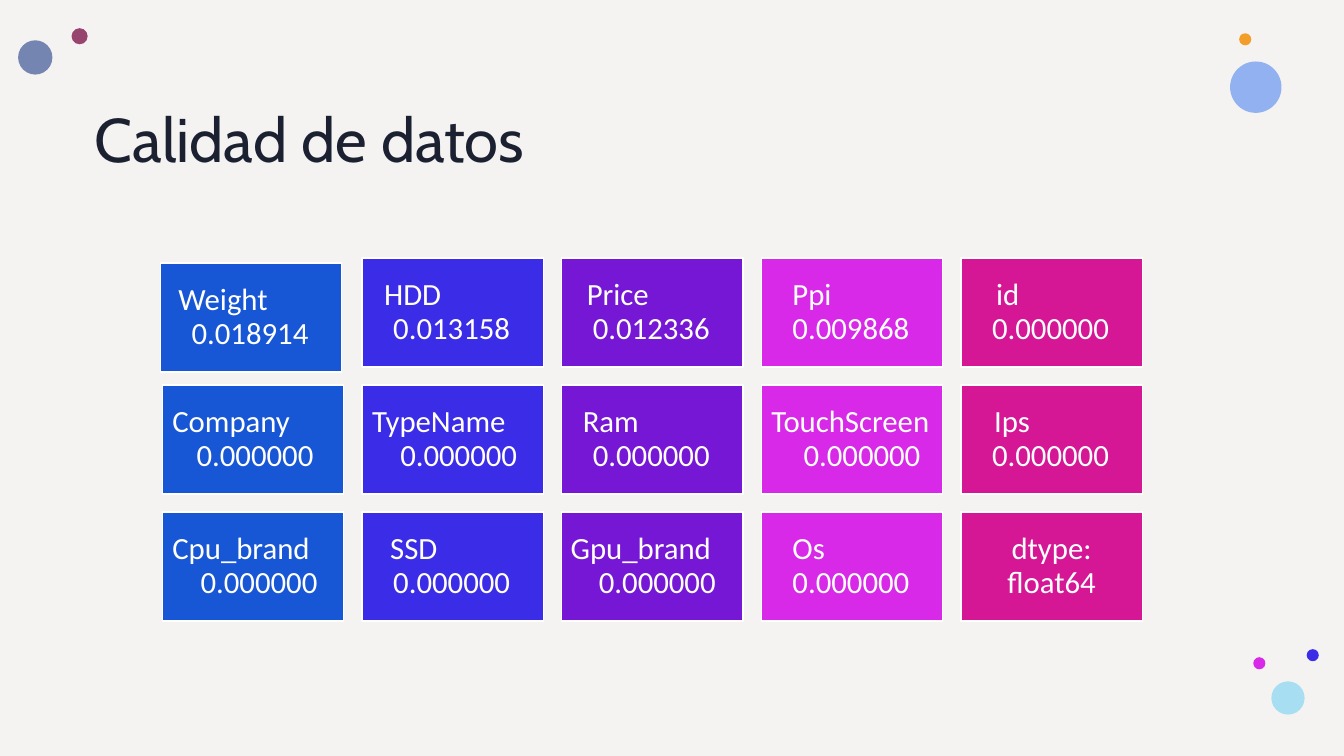
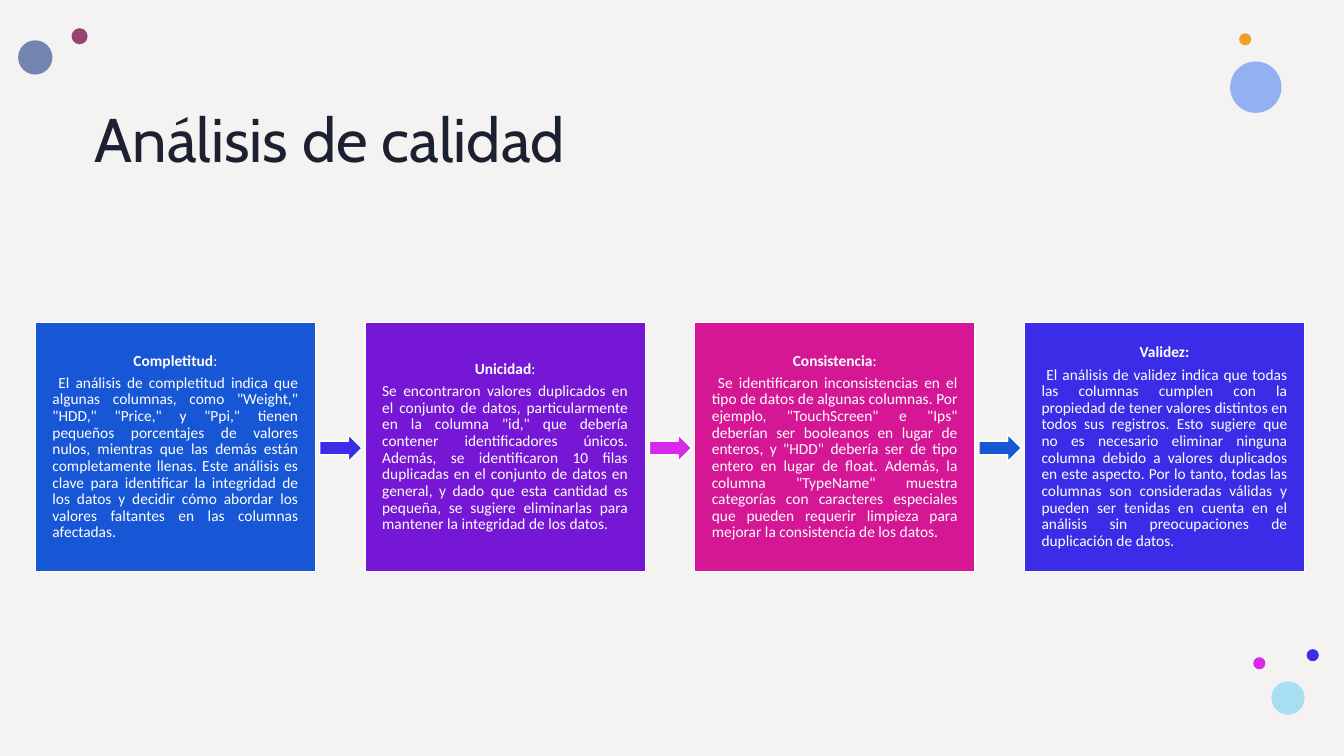
from pptx import Presentation
from pptx.dml.color import RGBColor
from pptx.enum.shapes import MSO_SHAPE
from pptx.enum.text import MSO_ANCHOR, PP_ALIGN
from pptx.util import Inches, Pt

RECT, OVAL, ARROW = MSO_SHAPE.RECTANGLE, MSO_SHAPE.OVAL, MSO_SHAPE.RIGHT_ARROW
TOP, MIDDLE = MSO_ANCHOR.TOP, MSO_ANCHOR.MIDDLE
LEFT, CENTER, JUSTIFY = PP_ALIGN.LEFT, PP_ALIGN.CENTER, PP_ALIGN.JUSTIFY

PAPER, INK, WHITE = "F5F3F2", "1B2130", "FFFFFF"
BLUE, INDIGO, PURPLE, MAGENTA, PINK = "1756D5", "3B2CE7", "7617D5", "D729E7", "D51796"
BUBBLES = [
    (0.71, 0.28, 0.16, "97446E"),
    (12.2, 0.61, 0.51, "92B1F0"),
    (12.29, 0.33, 0.12, "F39E29"),
    (0.18, 0.4, 0.34, "7485B1"),
    (12.96, 6.44, 0.12, INDIGO),
    (12.61, 6.76, 0.33, "A7DEF1"),
    (12.43, 6.52, 0.12, MAGENTA),
]

COLUMN_COLORS = [BLUE, INDIGO, PURPLE, MAGENTA, PINK]
CELL_WIDTH, CELL_HEIGHT, CELL_INSET = 1.8, 1.08, 0.09
COLUMN_PITCH, ROW_PITCH = 1.98, 1.26
GRID_LEFT, GRID_TOP = 1.61, 2.56
FIRST_CELL_SHIFT = (-0.02, 0.05)
NULL_RATES = [
    [("Weight", 0.09, "0.018914", 0.22), ("HDD", 0.13, "0.013158", 0.22),
     ("Price", 0.16, "0.012336", 0.22), ("Ppi", 0.22, "0.009868", 0.22),
     ("id", 0.26, "0.000000", 0.22)],
    [("Company", 0.01, "0.000000", 0.25), ("TypeName", 0.01, "0.000000", 0.29),
     ("Ram", 0.12, "0.000000", 0.22), ("TouchScreen", 0.01, "0.000000", 0.33),
     ("Ips", 0.24, "0.000000", 0.22)],
    [("Cpu_brand", 0.01, "0.000000", 0.29), ("SSD", 0.19, "0.000000", 0.22),
     ("Gpu_brand", 0, "0.000000", 0.28), ("Os", 0.22, "0.000000", 0.22),
     ("dtype: float64",)],
]

CARD_LEFT, CARD_TOP, CARD_PITCH = 0.35, 3.2, 3.27
CARD_WIDTH, CARD_HEIGHT, CARD_INSET = 2.78, 2.47, 0.17
ARROW_OFFSET, ARROW_TOP, ARROW_WIDTH, ARROW_HEIGHT = 2.82, 4.31, 0.42, 0.27
ARROW_COLORS = [INDIGO, MAGENTA, BLUE]
FINDINGS = [
    (BLUE, "Completitud", ":",
     " El análisis de completitud indica que algunas columnas, como \"Weight,\" \"HDD,\" "
     "\"Price,\" y \"Ppi,\" tienen pequeños porcentajes de valores nulos, mientras que las "
     "demás están completamente llenas. Este análisis es clave para identificar la "
     "integridad de los datos y decidir cómo abordar los valores faltantes en las "
     "columnas afectadas."),
    (PURPLE, "Unicidad", ":",
     "Se encontraron valores duplicados en el conjunto de datos, particularmente en la "
     "columna \"id,\" que debería contener identificadores únicos. Además, se "
     "identificaron 10 filas duplicadas en el conjunto de datos en general, y dado que "
     "esta cantidad es pequeña, se sugiere eliminarlas para mantener la integridad de "
     "los datos."),
    (PINK, "Consistencia", ":",
     " Se identificaron inconsistencias en el tipo de datos de algunas columnas. Por "
     "ejemplo, \"TouchScreen\" e \"Ips\" deberían ser booleanos en lugar de enteros, y "
     "\"HDD\" debería ser de tipo entero en lugar de float. Además, la columna "
     "\"TypeName\" muestra categorías con caracteres especiales que pueden requerir "
     "limpieza para mejorar la consistencia de los datos."),
    (INDIGO, "Validez:", "",
     " El análisis de validez indica que todas las columnas cumplen con la propiedad de "
     "tener valores distintos en todos sus registros. Esto sugiere que no es necesario "
     "eliminar ninguna columna debido a valores duplicados en este aspecto. Por lo "
     "tanto, todas las columnas son consideradas válidas y pueden ser tenidas en cuenta "
     "en el análisis sin preocupaciones de duplicación de datos."),
]


def rgb(color):
    return RGBColor.from_string(color)


def write(paragraph, text, size=11, color=WHITE, font="Calibri", bold=False,
          align=LEFT, indent=0, before=0):
    paragraph.alignment = align
    paragraph.line_spacing = 0.9
    paragraph.space_before = Pt(before)
    if indent:
        paragraph._p.get_or_add_pPr().set("marL", str(Inches(indent)))
    run = paragraph.add_run()
    run.text = text
    run.font.name = font
    run.font.size = Pt(size)
    run.font.bold = bold
    run.font.color.rgb = rgb(color)


class Deck:
    def __init__(self):
        self.presentation = Presentation()
        self.presentation.slide_width = Inches(13.33)
        self.presentation.slide_height = Inches(7.5)
        self.slide = None

    def new_slide(self, title):
        self.slide = self.presentation.slides.add_slide(self.presentation.slide_layouts[6])
        background = self.slide.background.fill
        background.solid()
        background.fore_color.rgb = rgb(PAPER)
        for left, top, diameter, color in BUBBLES:
            self.shape(OVAL, left, top, diameter, diameter, color)
        heading = self.slide.shapes.add_textbox(
            Inches(0.84), Inches(1.04), Inches(11.78), Inches(1.97))
        frame = self.frame(heading, 0.1, TOP)
        frame.margin_top = Inches(0.05)
        write(frame.paragraphs[0], title, size=44, color=INK, font="Cabin")

    def shape(self, kind, left, top, width, height, color, outline=None):
        shape = self.slide.shapes.add_shape(
            kind, Inches(left), Inches(top), Inches(width), Inches(height))
        shape.shadow.inherit = False
        shape.fill.solid()
        shape.fill.fore_color.rgb = rgb(color)
        if outline:
            shape.line.color.rgb = rgb(outline)
            shape.line.width = Pt(1)
        else:
            shape.line.fill.background()
        return shape

    def frame(self, shape, inset, anchor=MIDDLE):
        frame = shape.text_frame
        frame.word_wrap = True
        frame.vertical_anchor = anchor
        frame.margin_left = frame.margin_right = Inches(inset)
        frame.margin_top = frame.margin_bottom = Inches(inset)
        return frame

    def cell(self, left, top, color, name, name_indent=None, value=None, value_indent=0):
        tile = self.shape(RECT, left, top, CELL_WIDTH, CELL_HEIGHT, color, WHITE)
        frame = self.frame(tile, CELL_INSET)
        if value is None:
            write(frame.paragraphs[0], name, size=22, align=CENTER)
            return
        write(frame.paragraphs[0], name, size=22, indent=name_indent)
        write(frame.add_paragraph(), value, size=22, indent=value_indent)

    def card(self, left, color, heading, colon, body):
        panel = self.shape(RECT, left, CARD_TOP, CARD_WIDTH, CARD_HEIGHT, color, WHITE)
        frame = self.frame(panel, CARD_INSET)
        write(frame.paragraphs[0], heading, bold=True, align=CENTER)
        if colon:
            write(frame.paragraphs[0], colon, align=CENTER)
        write(frame.add_paragraph(), body, align=JUSTIFY, before=4)

    def arrow(self, left, color):
        self.shape(ARROW, left, ARROW_TOP, ARROW_WIDTH, ARROW_HEIGHT, color, WHITE)


def build_quality(deck):
    deck.new_slide("Calidad de datos")
    for row, rates in enumerate(NULL_RATES):
        for column, (color, rate) in enumerate(zip(COLUMN_COLORS, rates)):
            shift_x, shift_y = FIRST_CELL_SHIFT if row == column == 0 else (0, 0)
            left = GRID_LEFT + column * COLUMN_PITCH + shift_x
            top = GRID_TOP + row * ROW_PITCH + shift_y
            deck.cell(left, top, color, *rate)


def build_analysis(deck):
    deck.new_slide("Análisis de calidad")
    for index, finding in enumerate(FINDINGS):
        deck.card(CARD_LEFT + index * CARD_PITCH, *finding)
    for index, color in enumerate(ARROW_COLORS):
        deck.arrow(CARD_LEFT + index * CARD_PITCH + ARROW_OFFSET, color)


def main():
    deck = Deck()
    build_quality(deck)
    build_analysis(deck)
    deck.presentation.save("out.pptx")


if __name__ == "__main__":
    main()
